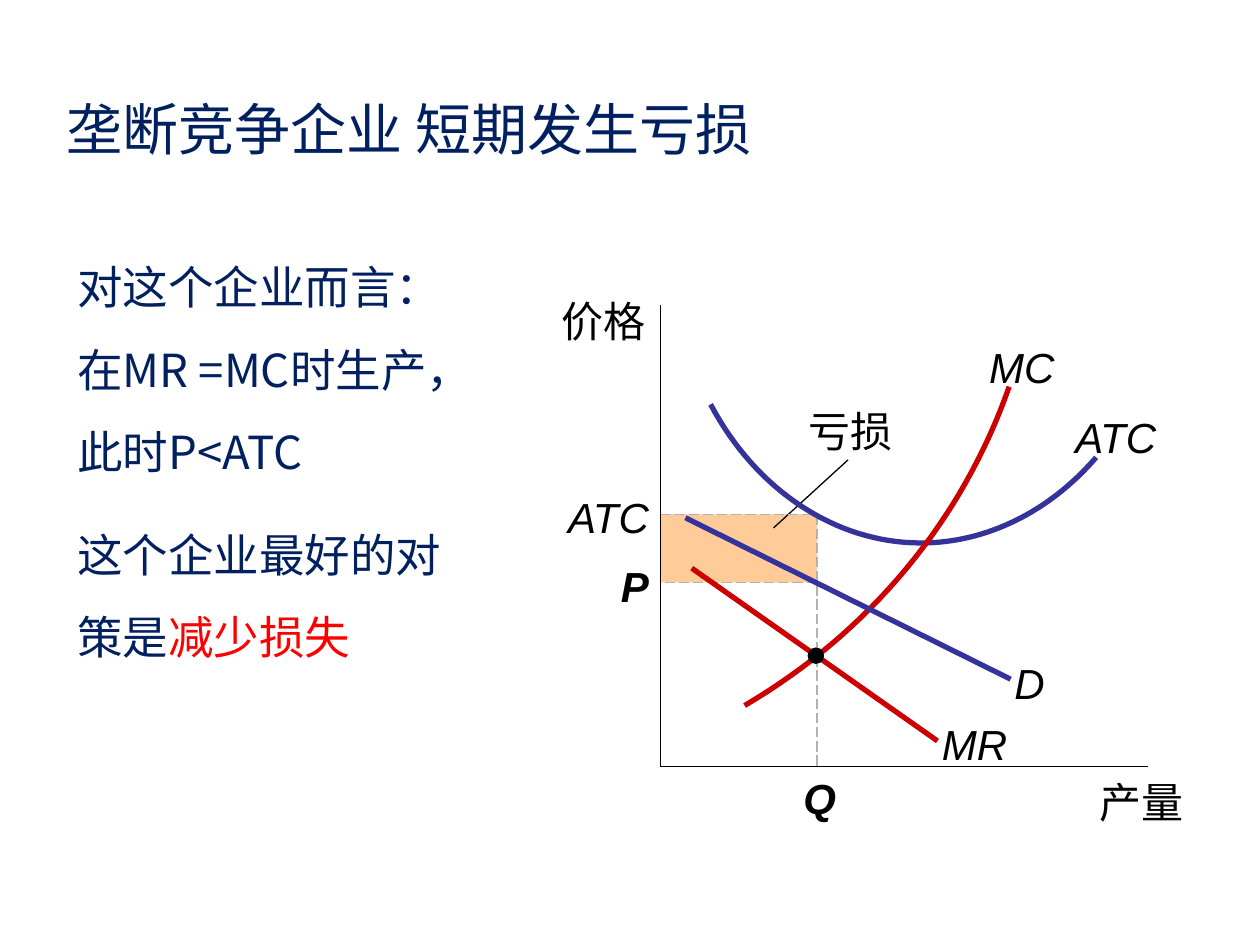
from lxml.etree import SubElement
from pptx import Presentation
from pptx.dml.color import RGBColor
from pptx.enum.dml import MSO_LINE
from pptx.enum.shapes import MSO_CONNECTOR, MSO_SHAPE
from pptx.enum.text import MSO_ANCHOR, PP_ALIGN
from pptx.oxml.ns import qn
from pptx.util import Pt

LATIN, CJK = "Arial", "Noto Sans CJK SC"
NAVY, BLUE, RED, GREY, BLACK = "002060", "333399", "CC0000", "B2B2B2", "000000"

# Key positions on the axes of the diagram
ORIGIN_X, ORIGIN_Y = 377.3, 438
QUANTITY, PRICE, COST = 466.8, 332.8, 293.9

MC_CURVE = [[(425.5, 403.2), (496.8, 361.4), (550, 297.4), (576.7, 221)]]
ATC_CURVE = [
    [(626.4, 261.4), (599.8, 292.3), (563.8, 310.3), (526.3, 310.3)],
    [(526.3, 310.3), (477.4, 310.3), (432, 280), (406.1, 231.1)],
]


def rgb(value):
    return RGBColor.from_string(value)


def add_run(p, text, size=24, color=BLACK, font=LATIN, bold=False, italic=False):
    r = p.add_run()
    r.text = text
    r.font.size = Pt(size)
    r.font.name = font
    r.font.bold = bold
    r.font.italic = italic
    r.font.color.rgb = rgb(color)
    SubElement(r.font._element, qn("a:ea")).set("typeface", CJK)


def add_title(slide, text):
    sp = slide.shapes.title
    sp.left, sp.top, sp.width, sp.height = Pt(31), Pt(54.7), Pt(561), Pt(36.7)
    tf = sp.text_frame
    tf.vertical_anchor = MSO_ANCHOR.MIDDLE
    p = tf.paragraphs[0]
    p.alignment = PP_ALIGN.LEFT
    add_run(p, text, size=32, color=NAVY, font=CJK)


def add_body(slide, paragraphs):
    """Each paragraph is a list of (text, colour) runs."""
    tf = slide.shapes.add_textbox(Pt(37), Pt(129), Pt(245.5), Pt(272)).text_frame
    tf.word_wrap = True
    for i, runs in enumerate(paragraphs):
        p = tf.add_paragraph() if i else tf.paragraphs[0]
        p.line_spacing = Pt(46.9)
        p.space_before = Pt(12 if i else 0)
        for text, color in runs:
            add_run(p, text, size=26, color=color, font=CJK)


def add_label(slide, text, x, y, w, align=PP_ALIGN.CENTER, **style):
    tf = slide.shapes.add_textbox(Pt(x), Pt(y), Pt(w), Pt(28.8)).text_frame
    tf.margin_left = tf.margin_right = tf.margin_top = tf.margin_bottom = 0
    tf.word_wrap = True
    tf.vertical_anchor = MSO_ANCHOR.MIDDLE
    p = tf.paragraphs[0]
    p.alignment = align
    add_run(p, text, **style)


def add_line(slide, start, end, color=BLACK, width=0.75, dashed=False):
    ends = [Pt(v) for v in (*start, *end)]
    line = slide.shapes.add_connector(MSO_CONNECTOR.STRAIGHT, *ends)
    line.line.color.rgb = rgb(color)
    line.line.width = Pt(width)
    if dashed:
        line.line.dash_style = MSO_LINE.LONG_DASH
    SubElement(line._element.spPr, qn("a:effectLst"))


def add_filled(slide, kind, x, y, w, h, color):
    sp = slide.shapes.add_shape(kind, Pt(x), Pt(y), Pt(w), Pt(h))
    sp.fill.solid()
    sp.fill.fore_color.rgb = rgb(color)
    sp.line.fill.background()
    sp.shadow.inherit = False


def bezier(controls, t):
    weights = ((1 - t) ** 3, 3 * t * (1 - t) ** 2, 3 * t * t * (1 - t), t ** 3)
    return tuple(Pt(sum(w * c[axis] for w, c in zip(weights, controls)))
                 for axis in (0, 1))


def add_curve(slide, segments, color, steps=32):
    """Draw joined cubic Bezier segments as one open outline."""
    points = [bezier(s, i / steps) for s in segments for i in range(steps + 1)]
    builder = slide.shapes.build_freeform(*points[0])
    builder.add_line_segments(points[1:], close=False)
    sp = builder.convert_to_shape()
    sp.fill.background()
    sp.line.color.rgb = rgb(color)
    sp.line.width = Pt(3)
    sp.shadow.inherit = False


def add_diagram(slide):
    add_filled(slide, MSO_SHAPE.RECTANGLE, ORIGIN_X, COST,
               QUANTITY - ORIGIN_X, PRICE - COST, "FFCC99")
    add_line(slide, (442, 301.7), (484.6, 262.8))
    for start, end in [
        ((ORIGIN_X, COST), (QUANTITY, COST)),
        ((QUANTITY, COST), (QUANTITY, ORIGIN_Y)),
        ((QUANTITY, PRICE), (ORIGIN_X, PRICE)),
    ]:
        add_line(slide, start, end, GREY, dashed=True)
    add_line(slide, (ORIGIN_X, 174.2), (ORIGIN_X, ORIGIN_Y))
    add_line(slide, (ORIGIN_X, ORIGIN_Y), (656, ORIGIN_Y))

    add_curve(slide, ATC_CURVE, BLUE)
    add_curve(slide, MC_CURVE, RED)
    add_line(slide, (391.7, 295.9), (577.5, 388.1), BLUE, 3)
    add_line(slide, (395.3, 324.7), (535.7, 423.4), RED, 3)
    add_filled(slide, MSO_SHAPE.OVAL, 461.5, 370, 9.4, 9.4, BLACK)

    add_label(slide, "亏损", 447.8, 232, 77)
    add_label(slide, "价格", 260, 169, 108.6, PP_ALIGN.RIGHT)
    add_label(slide, "产量", 579.6, 443.5, 96.5, PP_ALIGN.RIGHT)
    for text, x, y, w in [
        ("MC", 560.9, 195.4, 46),
        ("ATC", 604.8, 235, 65.5),
        ("D", 571, 376, 34.5),
        ("MR", 533.5, 410.6, 46.8),
    ]:
        add_label(slide, text, x, y, w, italic=True)
    add_label(slide, "ATC", 317.5, 281, 53.3, PP_ALIGN.RIGHT, italic=True)
    add_label(slide, "P", 349, 320.4, 21.8, PP_ALIGN.RIGHT, bold=True, italic=True)
    add_label(slide, "Q", 448, 441.2, 41, bold=True, italic=True)


def main():
    prs = Presentation()
    prs.slide_width, prs.slide_height = Pt(720), Pt(540)
    slide = prs.slides.add_slide(prs.slide_layouts[5])
    add_title(slide, "垄断竞争企业 短期发生亏损")
    add_body(slide, [
        [("对这个企业而言：在MR =MC时生产，此时P<ATC", NAVY)],
        [("这个企业最好的对策是", NAVY), ("减少损失", "FF0000")],
    ])
    add_diagram(slide)
    prs.save("out.pptx")


if __name__ == "__main__":
    main()
